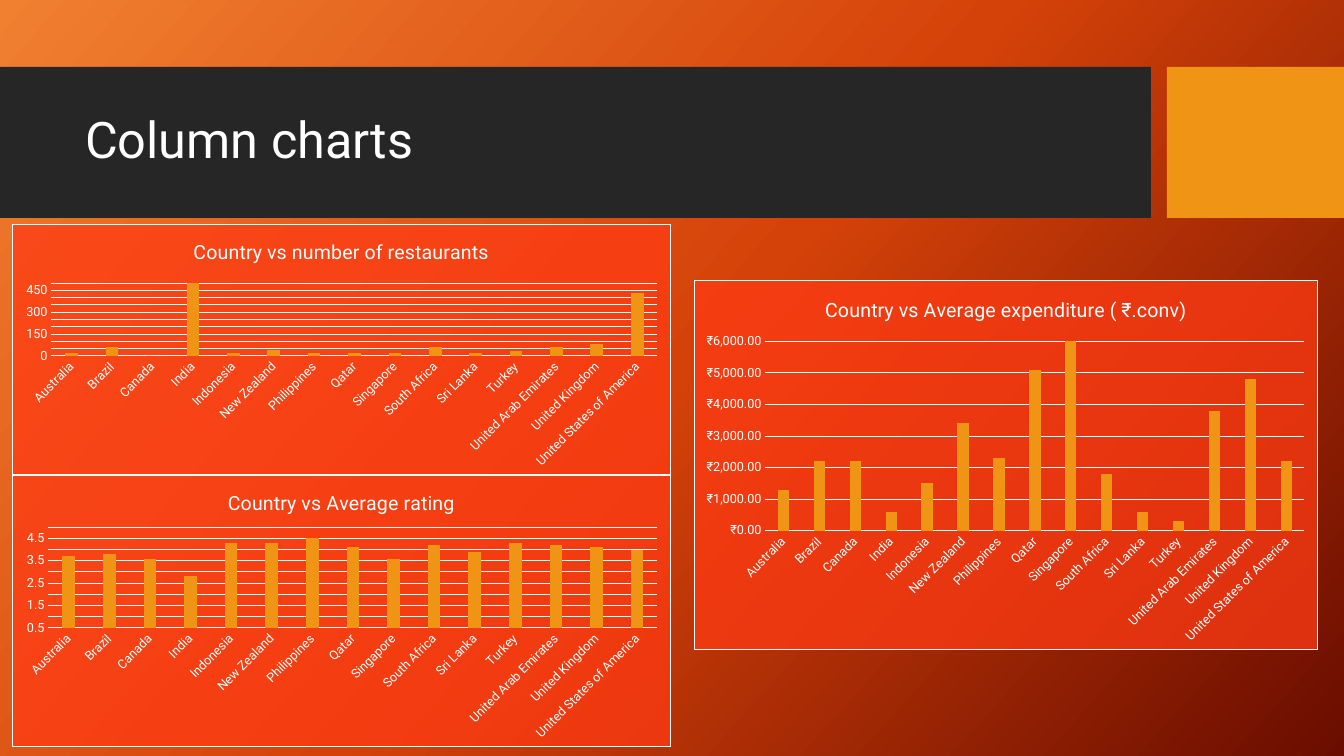
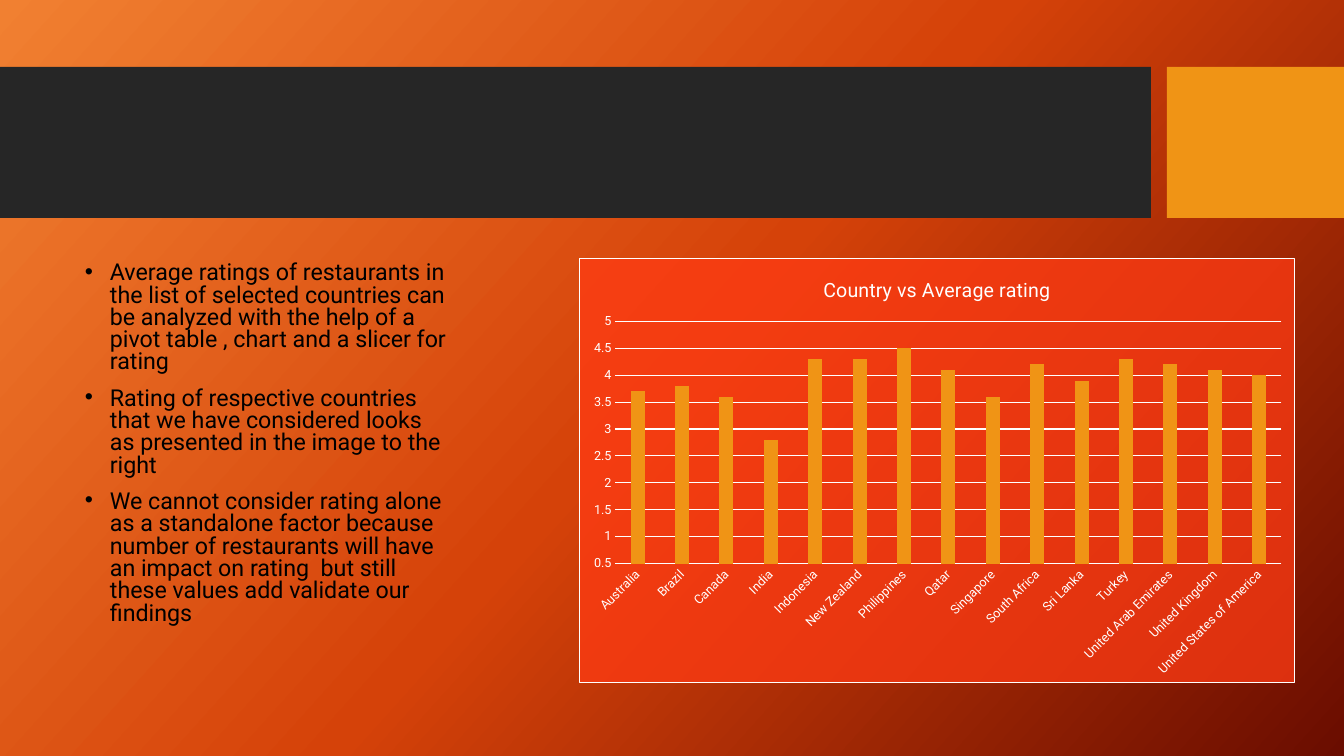
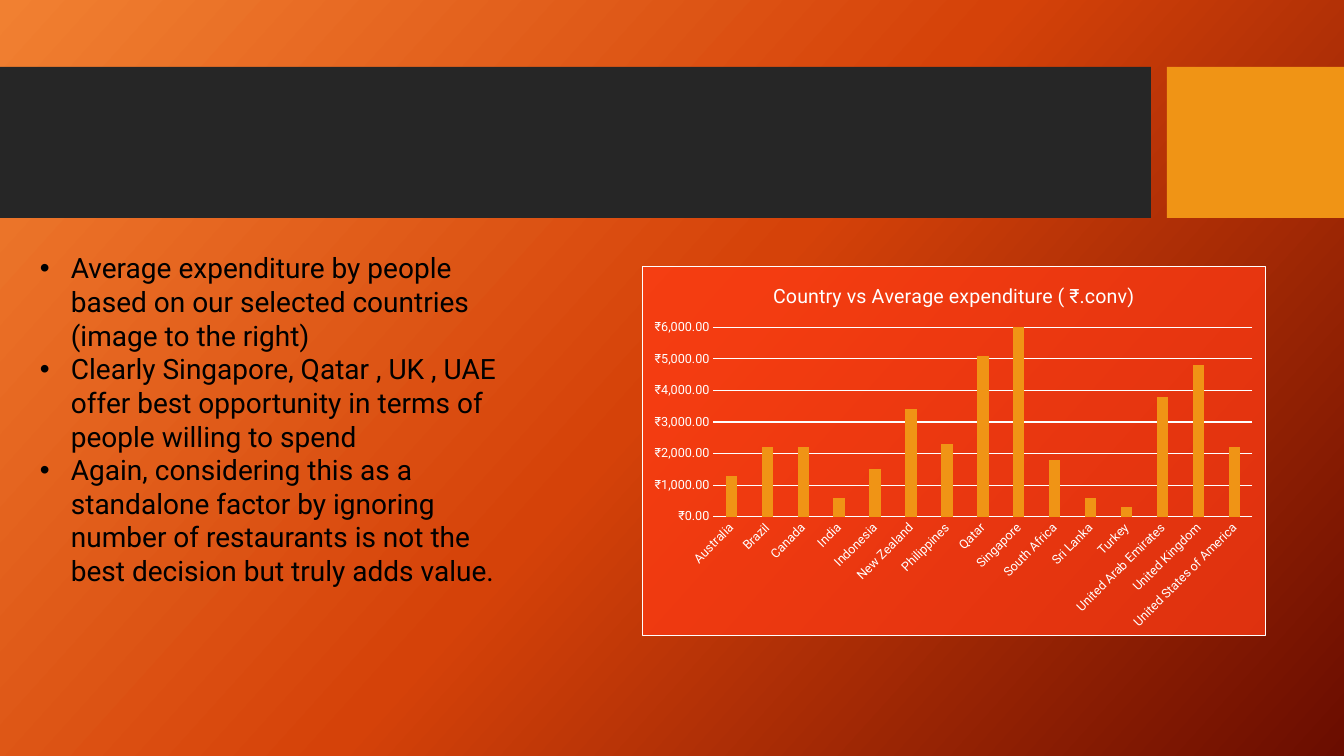
from copy import deepcopy

from pptx import Presentation
from pptx.chart.data import CategoryChartData
from pptx.dml.color import RGBColor
from pptx.enum.chart import XL_CHART_TYPE, XL_TICK_MARK
from pptx.enum.shapes import MSO_SHAPE
from pptx.enum.text import MSO_ANCHOR, MSO_AUTO_SIZE, PP_ALIGN
from pptx.oxml import parse_xml
from pptx.oxml.ns import nsdecls, qn
from pptx.util import Emu, Pt

WIDTH, HEIGHT = 1344, 756
SCALE = 12192000 / WIDTH
FONT = "Roboto"
COLORS = {
    "white": "FFFFFF",
    "black": "000000",
    "band": "262626",
    "gold": "F09415",
    "panel": "FF3B14",
}
GRADE = [(0, "F18031"), (0.5, "D54209"), (1, "6A0D00")]
BANDS = [((0, 67, 1151, 151), "band"), ((1167, 67, 177, 151), "gold")]

LANDS = [
    "Australia", "Brazil", "Canada", "India", "Indonesia", "New Zealand",
    "Philippines", "Qatar", "Singapore", "South Africa", "Sri Lanka", "Turkey",
    "United Arab Emirates", "United Kingdom", "United States of America",
]
COUNT = {
    "title": "Country vs number of restaurants",
    "vals": [20, 60, 0, 8650, 20, 40, 20, 20, 20, 60, 20, 30, 60, 80, 430],
    "range": (0, 500, 50),
    "format": "General",
    "left": 39,
}
SPEND = {
    "title": "Country vs Average expenditure ( ₹.conv)",
    "vals": [1300, 2200, 2200, 600, 1500, 3400, 2300, 5100, 9500, 1800, 600,
             300, 3800, 4800, 2200],
    "range": (0, 6000, 1000),
    "format": '"₹"#,##0.00',
    "left": 71,
}
RATING = {
    "title": "Country vs Average rating",
    "vals": [3.7, 3.8, 3.6, 2.8, 4.3, 4.3, 4.5, 4.1, 3.6, 4.2, 3.9, 4.3, 4.2,
             4.1, 4],
    "range": (0.5, 5, 0.5),
    "format": "General",
    "left": 36,
}
RATING_TEXT = [
    "Average ratings of restaurants in the list of selected countries can be "
    "analyzed with the help of a pivot table , chart and a slicer for rating",
    "Rating of respective countries that we have considered looks as "
    "presented in the image to the right",
    "We cannot consider rating alone as a standalone factor because number of "
    "restaurants will have an impact on rating  but still these values add "
    "validate our findings",
]
SPEND_TEXT = [
    "Average expenditure by people based on our selected countries (image to "
    "the right)",
    "Clearly Singapore, Qatar , UK , UAE offer best opportunity in terms of "
    "people willing to spend",
    "Again, considering this as a standalone factor by ignoring number of "
    "restaurants is not the best decision but truly adds value.",
]


def px(num):
    """Turn px into EMU."""
    return Emu(round(num * SCALE))


def rgb(name):
    """Look up a colour by name."""
    return RGBColor.from_string(COLORS[name])


def style(font, size, color):
    """Set typeface, size and colour of a font."""
    font.name = FONT
    font.size = Pt(size)
    font.color.rgb = rgb(color)


def set_back(master):
    """Give the master its three-colour gradient."""
    fill = master.background.fill
    fill.gradient()
    fill.gradient_angle = 318
    stops = master.element.find(".//" + qn("a:gsLst"))
    stops.append(deepcopy(stops[-1]))
    for stop, (place, color) in zip(fill.gradient_stops, GRADE):
        stop.position = place
        stop.color.rgb = RGBColor.from_string(color)


def add_bands(slide, master):
    """Draw the header bands and move them to the master."""
    for rank, (box, color) in enumerate(BANDS):
        band = slide.shapes.add_shape(MSO_SHAPE.RECTANGLE, *map(px, box))
        band.shadow.inherit = False
        band.fill.solid()
        band.fill.fore_color.rgb = rgb(color)
        band.line.fill.background()
        band.name = f"Header band {rank + 1}"
        band.element.nvSpPr.cNvPr.set("id", str(20 + rank))
        master.shapes.element.insert(2 + rank, band.element)


def set_title(slide, text):
    """Place and format the title."""
    title = slide.shapes.title
    title.left, title.top, title.width, title.height = map(
        px, (75, 83, 1059, 119))
    frame = title.text_frame
    frame.text = text
    frame.auto_size = MSO_AUTO_SIZE.NONE
    frame.vertical_anchor = MSO_ANCHOR.MIDDLE
    para = frame.paragraphs[0]
    para.alignment = PP_ALIGN.LEFT
    para.line_spacing = 0.9
    style(para.font, 36, "white")


def add_list(slide, box, items, size, indent, space=1.0, before=0):
    """Add a bulleted text box."""
    frame = slide.shapes.add_textbox(*map(px, box)).text_frame
    frame.word_wrap = True
    for rank, item in enumerate(items):
        para = frame.add_paragraph() if rank else frame.paragraphs[0]
        para.text = item
        para.line_spacing = space
        para.space_before = Pt(before)
        style(para.font, size, "black")
        props = para._p.get_or_add_pPr()
        props.set("marL", str(px(indent)))
        props.set("indent", str(-px(indent)))
        for tag in ('buFont typeface="Arial"', 'buChar char="•"'):
            props.append(parse_xml(f"<a:{tag} {nsdecls('a')}/>"))


def set_plot(root, box, left, top):
    """Fix the inner plot area by its margins in px."""
    wide, high = box[2:]
    parts = {
        "x": left / wide,
        "y": top / high,
        "w": (wide - left - 13) / wide,
        "h": (high - top - 119) / high,
    }
    modes = "".join(f'<c:{key}Mode val="edge"/>' for key in "xy")
    sizes = "".join(f'<c:{key} val="{val:.4f}"/>' for key, val in parts.items())
    area = root.find(".//" + qn("c:plotArea"))
    for old in area.findall(qn("c:layout")):
        area.remove(old)
    area.insert(0, parse_xml(
        f'<c:layout {nsdecls("c")}><c:manualLayout>'
        f'<c:layoutTarget val="inner"/>{modes}{sizes}'
        '</c:manualLayout></c:layout>'))


def set_panel(root):
    """Give the chart a translucent fill and a thin border."""
    root.find(qn("c:chart")).addnext(parse_xml(
        f'<c:spPr {nsdecls("c", "a")}><a:solidFill>'
        f'<a:srgbClr val="{COLORS["panel"]}"><a:alpha val="75000"/></a:srgbClr>'
        '</a:solidFill><a:ln w="9525"><a:solidFill>'
        f'<a:srgbClr val="{COLORS["white"]}"/></a:solidFill></a:ln></c:spPr>'))


def set_line(line):
    """Format an axis or grid line."""
    line.color.rgb = rgb("white")
    line.width = Pt(0.75)


def set_axes(chart, facts):
    """Format both axes."""
    cat, val = chart.category_axis, chart.value_axis
    for axis in (cat, val):
        axis.major_tick_mark = axis.minor_tick_mark = XL_TICK_MARK.NONE
        style(axis.tick_labels.font, 9, "white")
    set_line(cat.format.line)
    turn = chart.element.find(
        f".//{qn('c:catAx')}/{qn('c:txPr')}/{qn('a:bodyPr')}")
    turn.set("rot", "-2700000")
    val.minimum_scale, val.maximum_scale, val.major_unit = facts["range"]
    val.tick_labels.number_format = facts["format"]
    val.tick_labels.number_format_is_linked = False
    val.format.line.fill.background()
    val.has_major_gridlines = True
    set_line(val.major_gridlines.format.line)


def add_columns(slide, box, facts, top=61):
    """Add a column chart of one figure per country."""
    data = CategoryChartData()
    data.categories = LANDS
    data.add_series("Series 1", facts["vals"])
    chart = slide.shapes.add_chart(
        XL_CHART_TYPE.COLUMN_CLUSTERED, *map(px, box), data).chart
    style(chart.font, 10, "white")
    chart.has_legend = False
    chart.has_title = True
    frame = chart.chart_title.text_frame
    frame.text = facts["title"]
    style(frame.paragraphs[0].font, 14, "white")
    frame.paragraphs[0].font.bold = False
    chart.chart_title.include_in_layout = False
    plot = chart.plots[0]
    plot.gap_width, plot.overlap = 219, -27
    plot.vary_by_categories = False
    bars = plot.series[0]
    bars.format.fill.solid()
    bars.format.fill.fore_color.rgb = rgb("gold")
    set_axes(chart, facts)
    set_plot(chart.element, box, facts["left"], top)
    set_panel(chart.element)


def main():
    """Build the three slides."""
    deck = Presentation()
    deck.slide_width, deck.slide_height = px(WIDTH), px(HEIGHT)
    master = deck.slide_master
    titled, blank = deck.slide_layouts[5], deck.slide_layouts[6]
    set_back(master)

    slide = deck.slides.add_slide(titled)
    add_bands(slide, master)
    set_title(slide, "Column charts")
    add_columns(slide, (12, 224, 659, 251), COUNT, 59)
    add_columns(slide, (694, 280, 624, 370), SPEND)
    add_columns(slide, (12, 475, 659, 272), RATING, 52)

    slide = deck.slides.add_slide(blank)
    add_list(slide, (75, 258, 385, 397), RATING_TEXT, 16.6, 25, 0.8, 10)
    add_columns(slide, (579, 258, 716, 425), RATING, 63)

    slide = deck.slides.add_slide(blank)
    add_list(slide, (30, 246, 487, 410), SPEND_TEXT, 20, 31)
    add_columns(slide, (642, 266, 624, 370), SPEND)

    deck.save("out.pptx")


if __name__ == "__main__":
    main()
